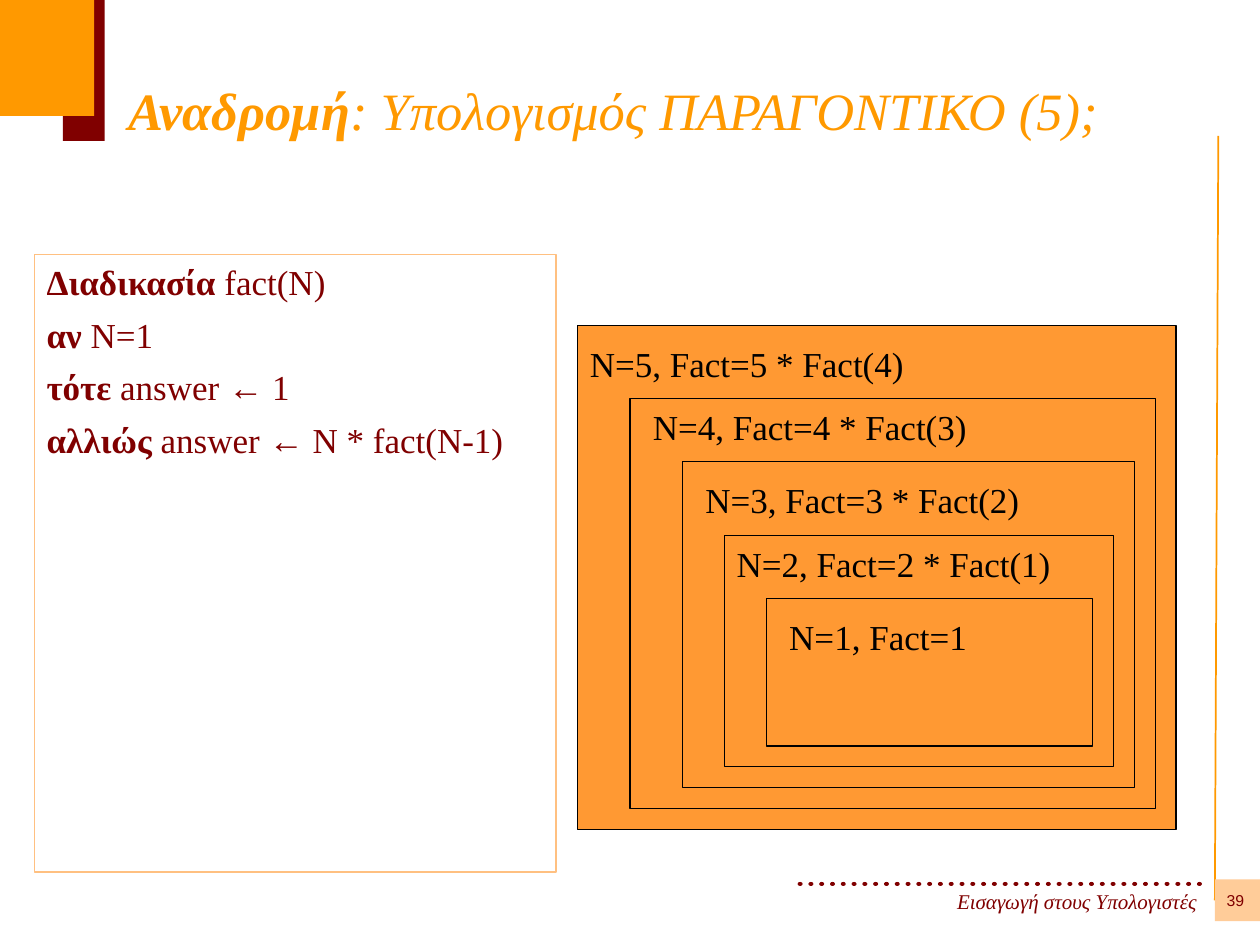
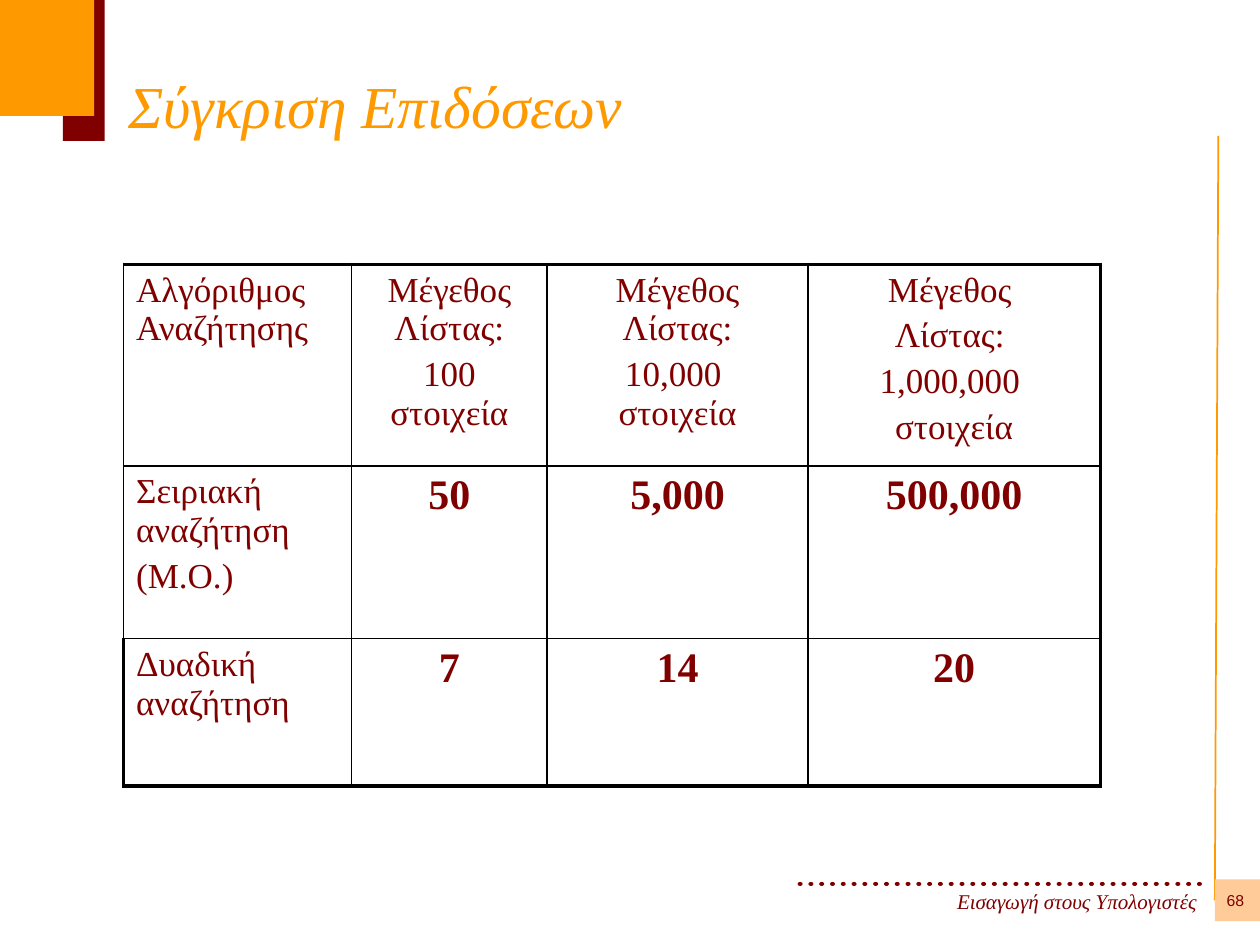
import pptx
import pptx.util
import pptx.dml.color
import pptx.enum.shapes
import pptx.enum.text
import pptx.oxml
import pptx.oxml.ns
from dataclasses import dataclass

Cm, Pt = pptx.util.Cm, pptx.util.Pt
SHAPE = pptx.enum.shapes.MSO_SHAPE
ALIGN = pptx.enum.text.PP_ALIGN
ANCHOR = pptx.enum.text.MSO_ANCHOR


@dataclass(frozen=True)
class Theme:
    orange: str = "FF9900"
    maroon: str = "800000"
    peach: str = "FFCC99"
    box: str = "FF9933"
    frame: str = "FFC081"
    black: str = "000000"
    serif: str = "Times New Roman"
    sans: str = "Arial"
    title: int = 34
    long_title: int = 30
    value: int = 24
    body: int = 20
    footer: int = 12
    number: int = 9


T = Theme()
BOLD = {"bold": True}
ARROW = ("←", {"name": T.sans})


def rgb(color):
    return pptx.dml.color.RGBColor.from_string(color)


class Deck:
    """Holds the presentation, its theme and the current slide."""

    def __init__(self):
        self.prs = pptx.Presentation()
        self.prs.slide_width, self.prs.slide_height = Cm(25.4), Cm(19.05)
        self.s = None

    def slide(self, title, size, number):
        self.s = self.prs.slides.add_slide(self.prs.slide_layouts[6])
        # Side rule and corner blocks
        rule = self.line(24.49, 18.15, 24.56, 2.74, T.orange)
        self.shape(1.27, 0, 0.84, 2.84, T.maroon)
        self.shape(0, 0, 1.9, 2.34, T.orange)
        # Dotted line, footer and slide number
        self.dots(first=16.08, last=24.13, top=17.78, count=38)
        self.text(1.9, 17.78, 22.23, 0.76, ["Εισαγωγή στους Υπολογιστές"], T.footer,
                  T.maroon, italic=True, align=ALIGN.RIGHT, side=0)
        number_box = self.shape(24.49, 17.73, 0.91, 0.84, T.peach)
        rule.begin_connect(number_box, 1)
        self.text(24.51, 17.73, 0.79, 0.84, [number], T.number, T.maroon, font=T.sans,
                  align=ALIGN.CENTER, anchor=ANCHOR.MIDDLE, side=0, ends=0)
        # Title
        self.text(2.34, 1.27, 21.79, 1.7, [title], size, T.orange, italic=True,
                  anchor=ANCHOR.BOTTOM)

    def line(self, x1, y1, x2, y2, color):
        c = self.s.shapes.add_connector(pptx.enum.shapes.MSO_CONNECTOR.STRAIGHT,
                                        Cm(x1), Cm(y1), Cm(x2), Cm(y2))
        c.line.color.rgb, c.line.width = rgb(color), Pt(1)
        c._element.spPr.append(pptx.oxml.parse_xml(
            f"<a:effectLst {pptx.oxml.ns.nsdecls('a')}/>"))
        return c

    def shape(self, x, y, w, h, fill=None, line=None, kind=SHAPE.RECTANGLE, parent=None):
        sp = (parent or self.s).shapes.add_shape(kind, Cm(x), Cm(y), Cm(w), Cm(h))
        sp.shadow.inherit = False
        if fill:
            sp.fill.solid()
            sp.fill.fore_color.rgb = rgb(fill)
        else:
            sp.fill.background()
        if line:
            sp.line.color.rgb, sp.line.width = rgb(line), Pt(0.75)
        else:
            sp.line.fill.background()
        return sp

    def dots(self, first, last, top, count):
        group = self.s.shapes.add_group_shape()
        pitch = (last - first) / (count - 1)
        for i in range(count):
            self.shape(first + i * pitch, top, 0.1, 0.08, T.maroon,
                       kind=SHAPE.OVAL, parent=group)

    def text(self, x, y, w, h, paragraphs, size, color, anchor=ANCHOR.TOP,
             side=0.25, ends=0.13, **style):
        sp = self.s.shapes.add_textbox(Cm(x), Cm(y), Cm(w), Cm(h))
        tf = sp.text_frame
        tf.word_wrap, tf.vertical_anchor = True, anchor
        tf.margin_left = tf.margin_right = Cm(side)
        tf.margin_top = tf.margin_bottom = Cm(ends)
        self.set_paragraphs(tf, paragraphs, size, color, **style)

    def set_paragraphs(self, tf, paragraphs, size, color, font=T.serif, bold=False,
                       italic=False, align=ALIGN.LEFT, gap=0):
        """A paragraph is a string or a list of strings and (string, font changes)."""
        for i, content in enumerate(paragraphs):
            p = tf.add_paragraph() if i else tf.paragraphs[0]
            p.alignment = align
            p.space_before = Pt(gap if i else 0)
            f = p.font
            f.name, f.size, f.bold, f.italic = font, Pt(size), bold, italic
            f.color.rgb = rgb(color)
            if isinstance(content, str):
                p.text = content
                continue
            for part in content:
                words, changes = (part, {}) if isinstance(part, str) else part
                r = p.add_run()
                r.text = words
                r.font.bold = changes.get("bold")
                r.font.name = changes.get("name")

    def table(self, x, y, widths, heights, rows):
        frame = self.s.shapes.add_table(len(heights), len(widths), Cm(x), Cm(y),
                                        Cm(sum(widths)), Cm(sum(heights)))
        table = frame.table
        table.first_row = table.horz_banding = False
        for column, width in zip(table.columns, widths):
            column.width = Cm(width)
        for row, height in zip(table.rows, heights):
            row.height = Cm(height)
        bottom, right = len(heights) - 1, len(widths) - 1
        for i, row in enumerate(rows):
            for j, paragraphs in enumerate(row):
                cell = table.cell(i, j)
                value = i > 0 and j > 0
                self.set_paragraphs(cell.text_frame, paragraphs,
                                    T.value if value else T.body, T.maroon, bold=value,
                                    gap=4, align=ALIGN.CENTER if j else ALIGN.LEFT)
                # Thick outer edges, thin inner ones
                thick = {"L": j == 0 and i == bottom, "R": j == right,
                         "T": i == 0, "B": i == bottom}
                self.borders(cell, {k: 2.25 if v else 1 for k, v in thick.items()})
                cell.fill.background()

    def borders(self, cell, widths):
        tcPr = cell._tc.get_or_add_tcPr()
        for side, width in widths.items():
            tcPr.append(pptx.oxml.parse_xml(
                f'<a:ln{side} {pptx.oxml.ns.nsdecls("a")} w="{Pt(width)}"><a:solidFill>'
                f'<a:srgbClr val="{T.black}"/></a:solidFill></a:ln{side}>'))


def recursion_slide(deck):
    deck.slide([("Αναδρομή", BOLD), ": Υπολογισμός ΠΑΡΑΓΟΝΤΙΚΟ (5);"], T.long_title, "39")

    # Nested calls, each box inside the one before
    step, right, bottom = 0.42, 23.71, 16.72
    calls = [  # left, top, label shift right, label shift down, label
        (11.64, 6.56, 0, 0.21, "N=5, Fact=5 * Fact(4)"),
        (12.7, 8.04, 0.21, 0, "N=4, Fact=4 * Fact(3)"),
        (13.76, 9.31, 0.21, 0.21, "N=3, Fact=3 * Fact(2)"),
        (14.6, 10.8, 0, 0, "N=2, Fact=2 * Fact(1)"),
        (15.45, 12.07, 0.21, 0.21, "N=1, Fact=1"),
    ]
    for i, (x, y, dx, dy, label) in enumerate(calls):
        deck.shape(x, y, right - i * step - x, bottom - i * step - y, T.box, T.black)
        deck.text(x + dx, y + dy, 8.26, 1.09, [label], T.body, T.black)

    # Procedure
    procedure = (0.69, 5.13, 10.52, 12.45)
    deck.shape(*procedure, line=T.frame)
    deck.text(*procedure, [
        [("Διαδικασία", BOLD), " fact(N)"],
        [("αν", BOLD), " N=1"],
        [("τότε", BOLD), " answer ", ARROW, " 1"],
        [("αλλιώς", BOLD), " answer ", ARROW, " N * fact(N-1)"],
    ], T.body, T.maroon, gap=6)


def comparison_slide(deck):
    deck.slide("Σύγκριση Επιδόσεων", T.title, "68")
    deck.table(2.49, 5.33, [4.6, 3.94, 5.26, 5.89], [4.06, 3.48, 2.97], [
        [["Αλγόριθμος Αναζήτησης"],
         ["Μέγεθος Λίστας:", "100 στοιχεία"],
         ["Μέγεθος Λίστας:", "10,000 \nστοιχεία"],
         ["Μέγεθος ", "Λίστας: ", "1,000,000 ", "στοιχεία"]],
        [["Σειριακή αναζήτηση", "(Μ.Ο.)"], ["50"], ["5,000"], ["500,000"]],
        [["Δυαδική αναζήτηση"], ["7"], ["14"], ["20"]],
    ])


def main():
    deck = Deck()
    recursion_slide(deck)
    comparison_slide(deck)
    deck.prs.save("out.pptx")


if __name__ == "__main__":
    main()
